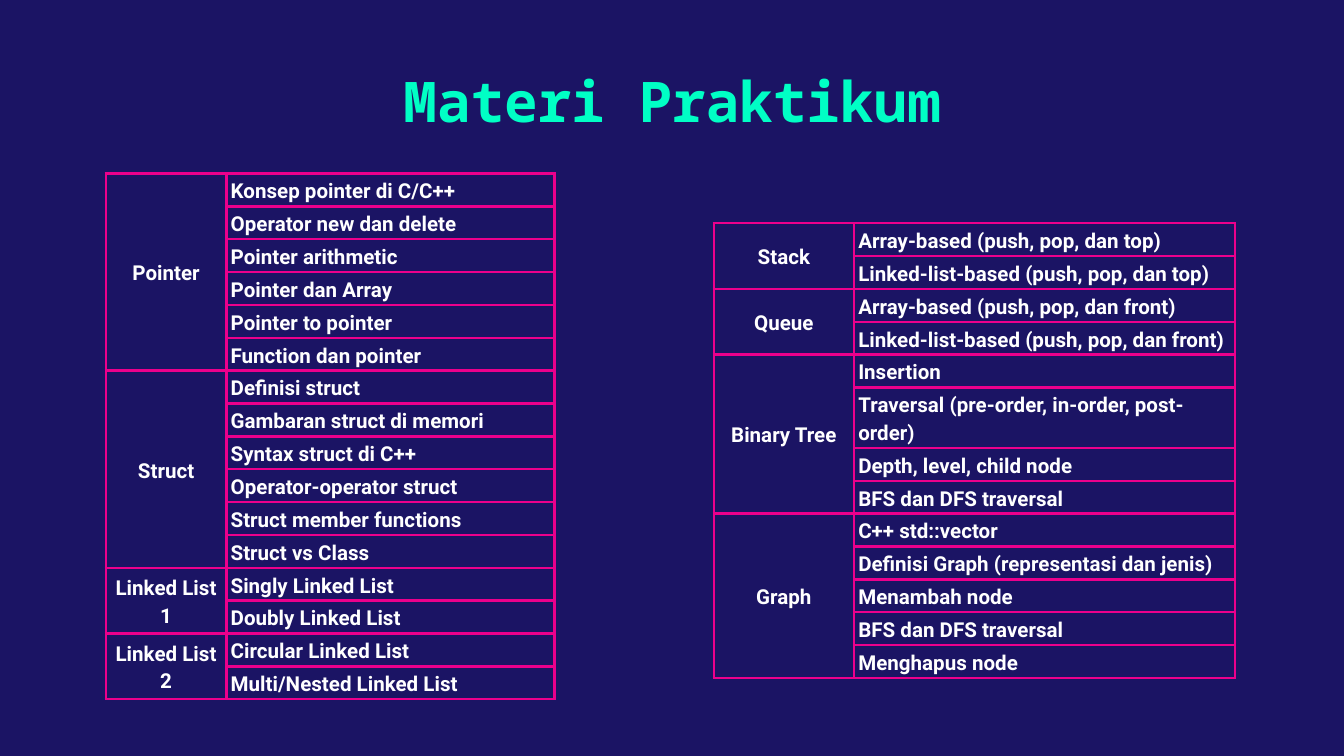
from lxml.etree import SubElement
from pptx import Presentation
from pptx.dml.color import RGBColor
from pptx.enum.text import MSO_ANCHOR as Anchor, MSO_AUTO_SIZE as AutoSize, PP_ALIGN as Align
from pptx.oxml.ns import qn
from pptx.util import Cm, Pt

# Content: each table lists its topics with their lessons
TITLE = "Materi Praktikum"
TABLES = [
    {
        "left": 2.0, "top": 3.28, "columns": (2.28, 6.2),
        "topics": [
            ("Pointer", ["Konsep pointer di C/C++", "Operator new dan delete",
                         "Pointer arithmetic", "Pointer dan Array",
                         "Pointer to pointer", "Function dan pointer"]),
            ("Struct", ["Definisi struct", "Gambaran struct di memori",
                        "Syntax struct di C++", "Operator-operator struct",
                        "Struct member functions", "Struct vs Class"]),
            ("Linked List 1", ["Singly Linked List", "Doubly Linked List"]),
            ("Linked List 2", ["Circular Linked List", "Multi/Nested Linked List"]),
        ],
    },
    {
        "left": 13.49, "top": 4.22, "columns": (2.65, 7.2),
        "topics": [
            ("Stack", ["Array-based (push, pop, dan top)",
                       "Linked-list-based (push, pop, dan top)"]),
            ("Queue", ["Array-based (push, pop, dan front)",
                       "Linked-list-based (push, pop, dan front)"]),
            ("Binary Tree", ["Insertion", "Traversal (pre-order, in-order, post-order)",
                             "Depth, level, child node", "BFS dan DFS traversal"]),
            ("Graph", ["C++ std::vector", "Definisi Graph (representasi dan jenis)",
                       "Menambah node", "BFS dan DFS traversal", "Menghapus node"]),
        ],
    },
]
NAVY, MINT, PINK, WHITE = "1B1464", "00FFC5", "EC008C", "FFFFFF"
ROW_HEIGHT = 0.56


def color(hex_code):
    return RGBColor.from_string(hex_code)


def style_font(font, name, size, hex_code):
    font.name, font.size, font.bold = name, Pt(size), True
    font.color.rgb = color(hex_code)


def add_borders(cell, hex_code, width):
    properties = cell._tc.get_or_add_tcPr()
    for position, side in enumerate(("lnL", "lnR", "lnT", "lnB")):
        line = SubElement(properties, qn(f"a:{side}"), w=str(Pt(width)))
        fill = SubElement(line, qn("a:solidFill"))
        SubElement(fill, qn("a:srgbClr"), val=hex_code)
        properties.insert(position, line)


def style_cell(cell, align):
    cell.fill.background()
    cell.vertical_anchor = Anchor.MIDDLE
    cell.margin_left = cell.margin_right = Cm(0.08)
    cell.margin_top = cell.margin_bottom = Cm(0.05)
    para = cell.text_frame.paragraphs[0]
    para.alignment = align
    para.line_spacing = 1.15
    style_font(para.font, "Roboto", 11, WHITE)
    add_borders(cell, PINK, 1.5)


def add_topic_table(page, left, top, columns, topics):
    count = sum(len(lessons) for _, lessons in topics)
    table = page.shapes.add_table(count, 2, Cm(left), Cm(top), Cm(sum(columns)),
                                  Cm(ROW_HEIGHT * count)).table
    table.first_row = table.horz_banding = False
    # Without a table style the cells keep their own text colour
    properties = table._tbl.tblPr
    properties.remove(properties.find(qn("a:tableStyleId")))

    for column, width in zip(table.columns, columns):
        column.width = Cm(width)
    for row in table.rows:
        row.height = Cm(ROW_HEIGHT)

    # Topic names span the rows of their lessons
    start = 0
    for topic, lessons in topics:
        table.cell(start, 0).text = topic
        for offset, lesson in enumerate(lessons):
            table.cell(start + offset, 1).text = lesson
        end = start + len(lessons)
        table.cell(start, 0).merge(table.cell(end - 1, 0))
        start = end

    for row in table.rows:
        for cell, align in zip(row.cells, (Align.CENTER, Align.LEFT)):
            style_cell(cell, align)


def main():
    deck = Presentation()
    deck.slide_width, deck.slide_height = Cm(25.4), Cm(14.29)
    page = deck.slides.add_slide(deck.slide_layouts[5])
    page.background.fill.solid()
    page.background.fill.fore_color.rgb = color(NAVY)

    # Title
    title = page.shapes.title
    title.left, title.top, title.width, title.height = Cm(3.56), Cm(0.97), Cm(18.29), Cm(1.85)
    frame = title.text_frame
    frame.text = TITLE
    frame.auto_size = AutoSize.NONE
    frame.vertical_anchor = Anchor.MIDDLE
    para = frame.paragraphs[0]
    para.alignment = Align.CENTER
    style_font(para.font, "Noto Sans Mono", 30, MINT)

    # Topic tables
    for table in TABLES:
        add_topic_table(page, **table)

    deck.save("out.pptx")


if __name__ == "__main__":
    main()
